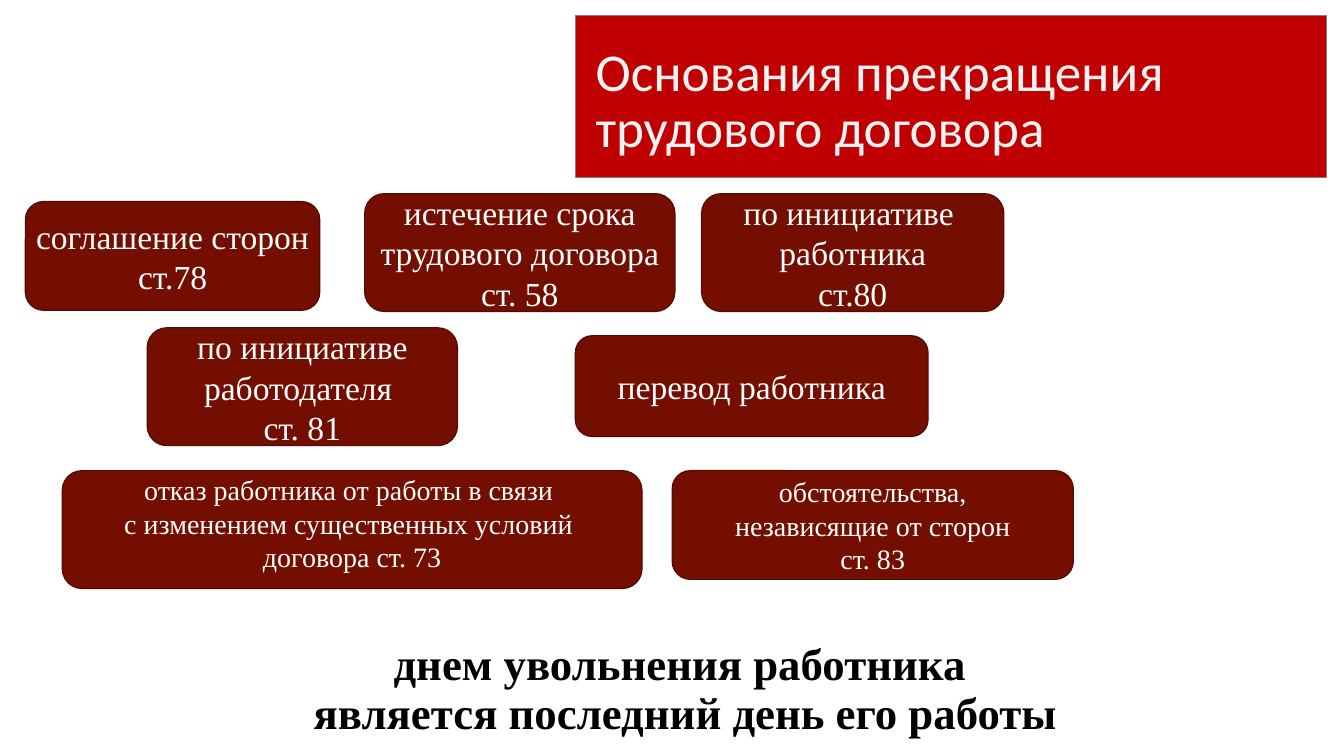
from pptx import Presentation
from pptx.dml.color import RGBColor as Rgb
from pptx.enum.shapes import MSO_SHAPE as Kind
from pptx.enum.text import MSO_ANCHOR as Anchor, PP_ALIGN as Align
from pptx.util import Cm, Pt

RED = Rgb(0xC0, 0x00, 0x00)
GREY = Rgb(0x80, 0x80, 0x80)
PALE = Rgb(0xF2, 0xF2, 0xF2)
MAROON = Rgb(0x73, 0x0E, 0x00)
EDGE = Rgb(0x55, 0x0A, 0x00)
WHITE = Rgb(0xFF, 0xFF, 0xFF)
BLACK = Rgb(0x00, 0x00, 0x00)

SERIF = "Times New Roman"
TITLE = "Основания прекращения трудового договора"
CLOSE = ["днем увольнения работника ", "является последний день его работы"]

GROUNDS = [
    ((0.64, 5.08, 7.42, 2.74), 24, 0, ["соглашение сторон", "ст.78"]),
    ((9.19, 4.88, 7.82, 2.97), 24, 0,
     ["истечение срока", "трудового договора", "ст. 58"]),
    ((17.68, 4.88, 7.62, 2.97), 24, 0,
     ["по инициативе ", "работника", "ст.80"]),
    ((3.71, 8.26, 7.82, 2.97), 24, 0,
     ["по инициативе", "работодателя ", "ст. 81"]),
    ((14.5, 8.46, 8.89, 2.54), 24, 0, ["перевод работника"]),
    ((1.57, 11.86, 14.61, 2.97), 20, 0.32,
     ["отказ работника от работы в связи ",
      "с изменением существенных условий ", "договора ст. 73"]),
    ((16.94, 11.86, 10.11, 2.74), 20, 0,
     ["обстоятельства,", "независящие от сторон", "ст. 83"]),
]


def apply(item, form):
    for key, value in form.items():
        setattr(item, key, value)


def write(frame, lines, font, color, para):
    for num, line in enumerate(lines):
        part = frame.paragraphs[0] if num == 0 else frame.add_paragraph()
        part.text = line
        apply(part, para)
        apply(part.font, font)
        part.font.color.rgb = color


def block(slide, kind, box, fill, edge, width):
    shape = slide.shapes.add_shape(kind, *map(Cm, box))
    shape.shadow.inherit = False
    shape.fill.solid()
    shape.fill.fore_color.rgb = fill
    shape.line.color.rgb = edge
    shape.line.width = Pt(width)
    return shape


def title(slide, box):
    frame = block(slide, Kind.RECTANGLE, box, RED, GREY, 0.75).text_frame
    apply(frame, {"word_wrap": True, "vertical_anchor": Anchor.MIDDLE,
                  "margin_left": Cm(0.51), "margin_top": Cm(0.79),
                  "margin_right": Cm(0.51), "margin_bottom": Cm(0.51)})
    write(frame, [TITLE], {"name": "Calibri", "size": Pt(38)}, PALE,
          {"alignment": Align.LEFT, "line_spacing": Pt(40)})


def ground(slide, box, size, lift, lines):
    kind = Kind.FLOWCHART_ALTERNATE_PROCESS
    frame = block(slide, kind, box, MAROON, EDGE, 0.85).text_frame
    apply(frame, {"word_wrap": False, "vertical_anchor": Anchor.MIDDLE,
                  "margin_bottom": Cm(0.13 + lift)})
    write(frame, lines, {"name": SERIF, "size": Pt(size)}, WHITE,
          {"alignment": Align.CENTER})


def close(slide, box):
    frame = slide.shapes.add_textbox(*map(Cm, box)).text_frame
    frame.word_wrap = True
    write(frame, CLOSE, {"name": SERIF, "size": Pt(32), "bold": True}, BLACK,
          {"alignment": Align.CENTER, "line_spacing": 0.9})


def main():
    deck = Presentation()
    apply(deck, {"slide_width": Cm(33.87), "slide_height": Cm(19.05)})
    slide = deck.slides.add_slide(deck.slide_layouts[6])
    title(slide, (14.5, 0.38, 18.92, 4.09))
    for item in GROUNDS:
        ground(slide, *item)
    close(slide, (2.95, 16.05, 28.65, 2.72))
    deck.save("out.pptx")


if __name__ == "__main__":
    main()
